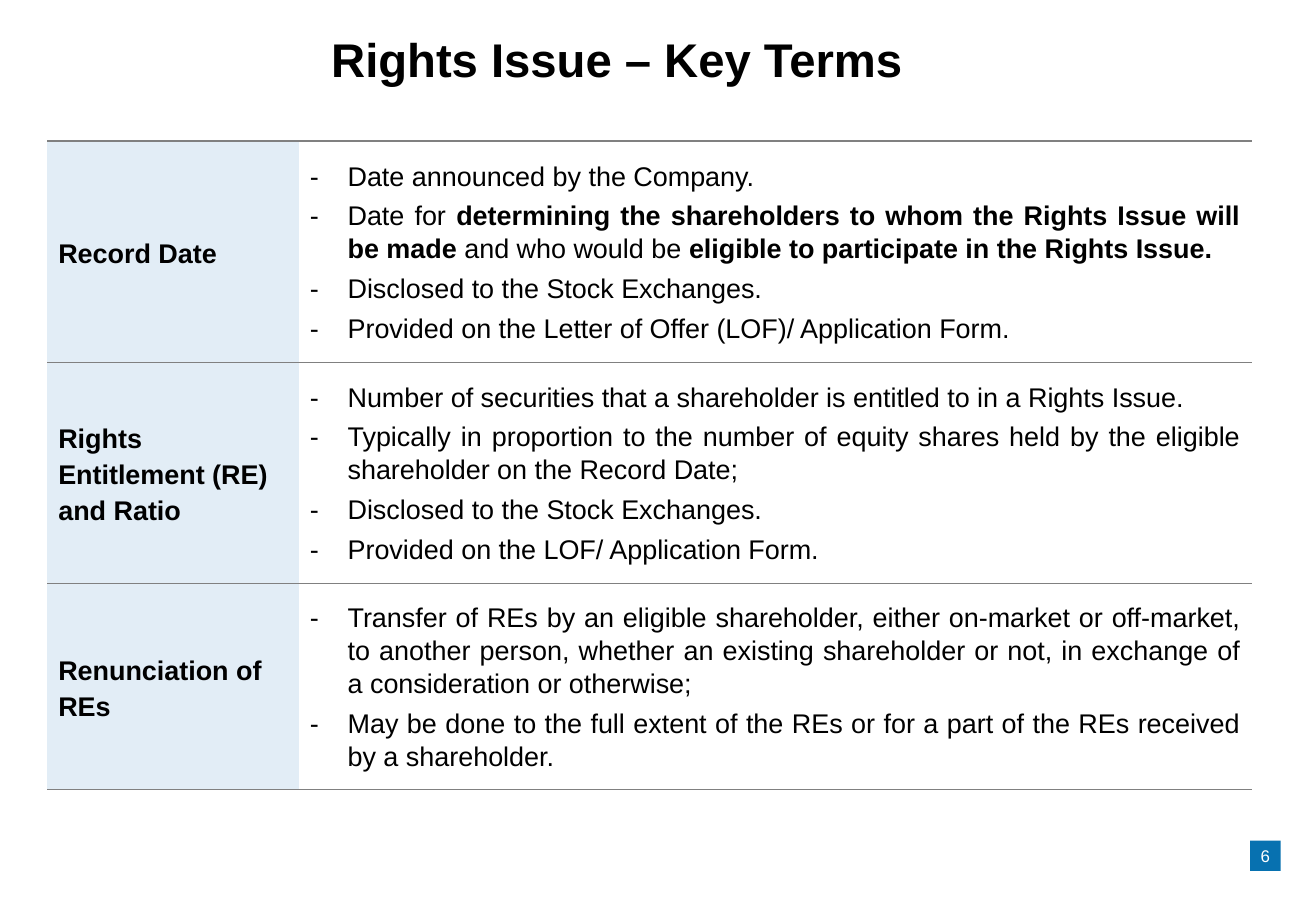
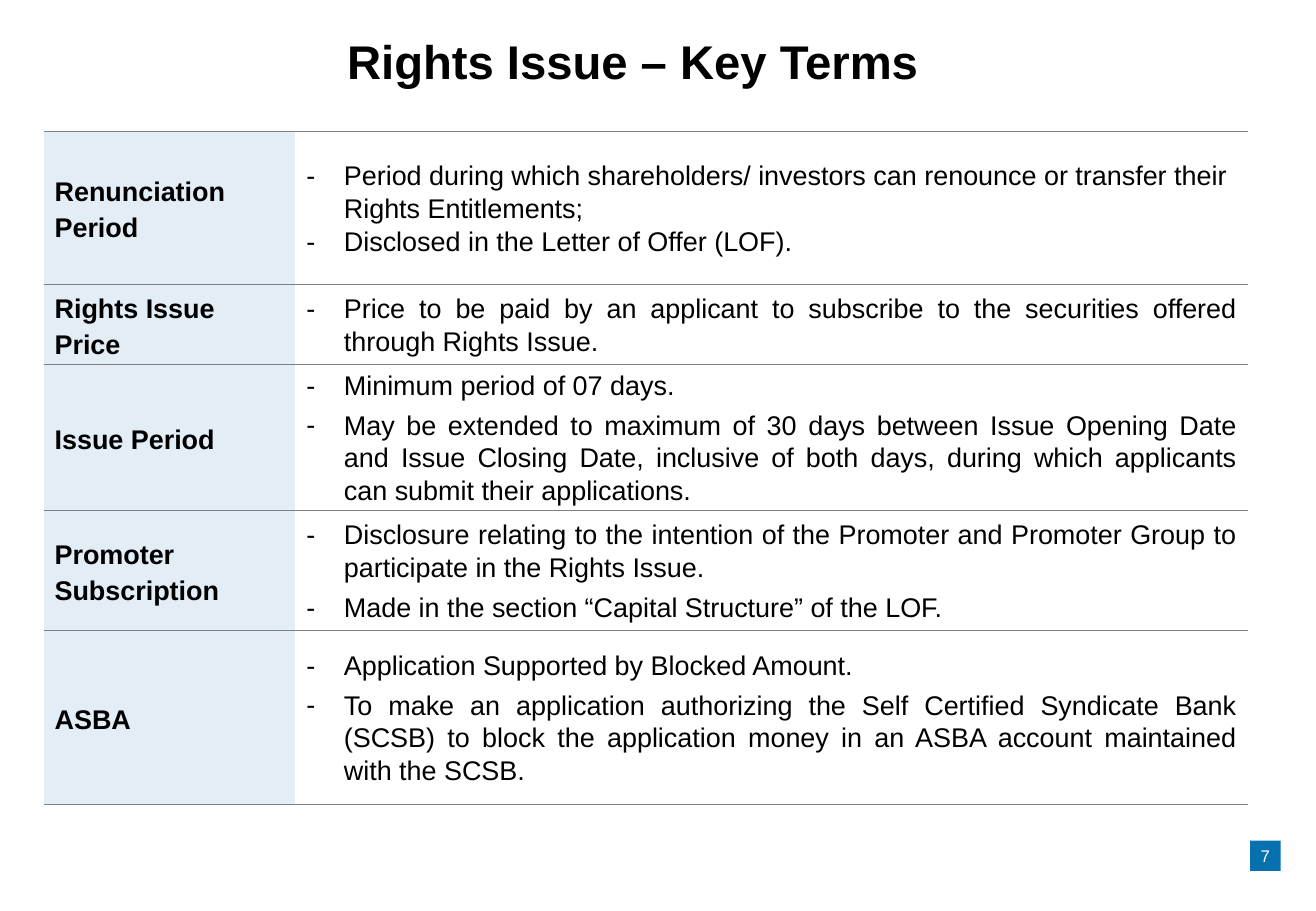
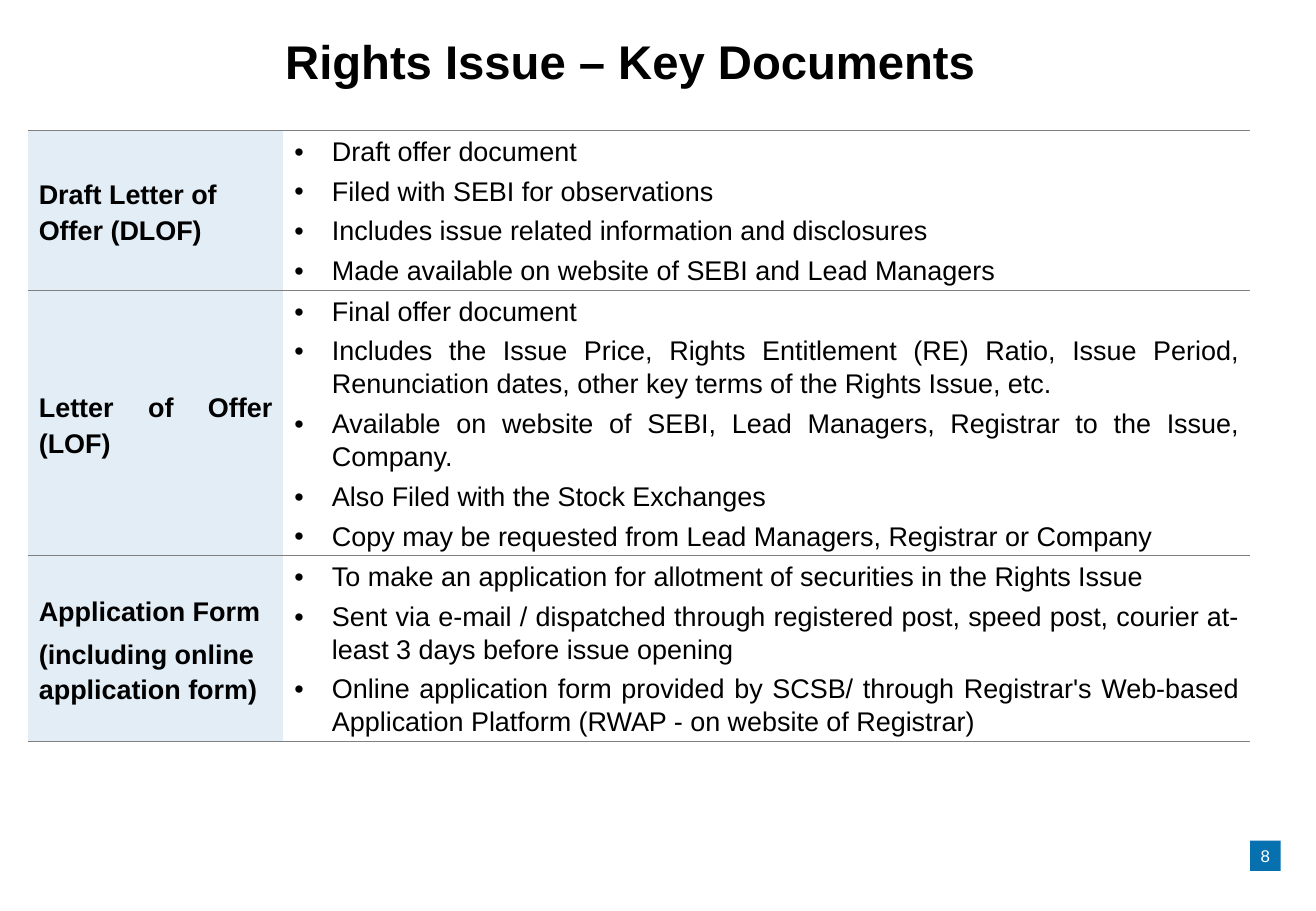
"""Build three slides on the key terms and documents of a rights issue."""
from pptx import Presentation
from pptx import util as u
from pptx.dml.color import RGBColor
from pptx.enum import shapes, text
from pptx.oxml import parse_xml
from pptx.oxml.ns import nsdecls

BLACK = RGBColor(0, 0, 0)
WHITE = RGBColor(255, 255, 255)
PALE = RGBColor(0xE2, 0xED, 0xF6)
BLUE = RGBColor(0x07, 0x71, 0xB0)
RULE = RGBColor(0x80, 0x80, 0x80)
FONT = "Arial"
W, H = 10.83, 7.5
TERM_SHARE = 0.209
HANG = 0.31
FIRST_PAGE = 6
LEFT, JUSTIFY, CENTER = text.PP_ALIGN.LEFT, text.PP_ALIGN.JUSTIFY, text.PP_ALIGN.CENTER
MIDDLE = text.MSO_ANCHOR.MIDDLE

SLIDES = [
    {"title": "Rights Issue – Key Terms", "title_at": (0.51, 0.28),
     "table_at": (0.39, 1.16), "width": 9.91, "bullet": "-", "top_rule": 1.5,
     "rows": [
         {"term": ["Record Date"], "height": 1.82, "points": [
             "Date announced by the Company.",
             "Date for **determining the shareholders to whom the Rights Issue will be made** "
             "and who would be **eligible to participate in the Rights Issue.**",
             "Disclosed to the Stock Exchanges.",
             "Provided on the Letter of Offer (LOF)/ Application Form."]},
         {"term": ["Rights Entitlement (RE) and Ratio"], "height": 1.82, "points": [
             "Number of securities that a shareholder is entitled to in a Rights Issue.",
             "Typically in proportion to the number of equity shares held by the eligible "
             "shareholder on the Record Date;",
             "Disclosed to the Stock Exchanges.",
             "Provided on the LOF/ Application Form."]},
         {"term": ["Renunciation of REs"], "height": 1.7, "points": [
             "Transfer of REs by an eligible shareholder, either on-market or off-market, "
             "to another person, whether an existing shareholder or not, in exchange of "
             "a consideration or otherwise;",
             "May be done to the full extent of the REs or for a part of the REs received "
             "by a shareholder."]},
     ]},
    {"title": "Rights Issue – Key Terms", "title_at": (0.64, 0.29),
     "table_at": (0.36, 1.08), "width": 9.91, "bullet": "-", "top_rule": 0.5,
     "rows": [
         {"term": ["Renunciation Period"], "height": 1.26,
          "points_align": LEFT, "points_gap": 0, "points": [
              "Period during which shareholders/ investors can renounce or transfer their "
              "Rights Entitlements;",
              "Disclosed in the Letter of Offer (LOF)."]},
         {"term": ["Rights Issue Price"], "height": 0.66, "points": [
             "Price to be paid by an applicant to subscribe to the securities offered "
             "through Rights Issue."]},
         {"term": ["Issue Period"], "height": 1.2, "points": [
             "Minimum period of 07 days.",
             "May be extended to maximum of 30 days between Issue Opening Date and Issue "
             "Closing Date, inclusive of both days, during which applicants can submit "
             "their applications."]},
         {"term": ["Promoter Subscription"], "height": 0.99, "points": [
             "Disclosure relating to the intention of the Promoter and Promoter Group to "
             "participate in the Rights Issue.",
             "Made in the section “Capital Structure” of the LOF."]},
         {"term": ["ASBA"], "height": 1.43, "points": [
             "Application Supported by Blocked Amount.",
             "To make an application authorizing the Self Certified Syndicate Bank (SCSB) "
             "to block the application money in an ASBA account maintained with the SCSB."]},
     ]},
    {"title": "Rights Issue – Key Documents", "title_at": (0.62, 0.29),
     "table_at": (0.23, 1.07), "width": 10.06, "bullet": "•", "top_rule": 0.5,
     "rows": [
         {"term": ["Draft Letter of Offer (DLOF)"], "height": 1.32, "points": [
             "Draft offer document",
             "Filed with SEBI for observations",
             "Includes issue related information and disclosures",
             "Made available on website of SEBI and Lead Managers"]},
         {"term": ["Letter of Offer (LOF)"], "height": 2.18, "term_align": JUSTIFY, "points": [
             "Final offer document",
             "Includes the Issue Price, Rights Entitlement (RE) Ratio, Issue Period, "
             "Renunciation dates, other key terms of the Rights Issue, etc.",
             "Available on website of SEBI, Lead Managers, Registrar to the Issue, Company.",
             "Also Filed with the Stock Exchanges",
             "Copy may be requested from Lead Managers, Registrar or Company"]},
         {"term": ["Application Form", "(including online application form)"],
          "height": 1.53, "points": [
              "To make an application for allotment of securities in the Rights Issue",
              "Sent via e-mail / dispatched through registered post, speed post, courier "
              "at-least 3 days before issue opening",
              "Online application form provided by SCSB/ through Registrar's Web-based "
              "Application Platform (RWAP - on website of Registrar)"]},
     ]},
]


def add_run(p, words, size, color=BLACK, bold=False):
    r = p.add_run()
    r.text = words
    r.font.name, r.font.size, r.font.bold = FONT, u.Pt(size), bold
    r.font.color.rgb = color


def clear_margins(tf):
    tf.margin_left = tf.margin_right = tf.margin_top = tf.margin_bottom = 0
    tf.vertical_anchor = MIDDLE


def add_bullet(p, mark):
    pPr = p._p.get_or_add_pPr()
    pPr.set("marL", str(u.Inches(HANG)))
    pPr.set("indent", str(-u.Inches(HANG)))
    pPr.append(parse_xml(f'<a:buFont {nsdecls("a")} typeface="{FONT}"/>'))
    pPr.append(parse_xml(f'<a:buChar {nsdecls("a")} char="{mark}"/>'))


def set_borders(cell, top, bottom):
    tcPr = cell._tc.get_or_add_tcPr()
    for i, (side, width) in enumerate((("L", 0), ("R", 0), ("T", top), ("B", bottom))):
        paint = f'<a:solidFill><a:srgbClr val="{RULE}"/></a:solidFill>' if width else "<a:noFill/>"
        tcPr.insert(i, parse_xml(
            f'<a:ln{side} {nsdecls("a")} w="{u.Pt(width)}">{paint}</a:ln{side}>'))


def fill_cell(cell, lines, align, spacing, gap, bold=False, bullet=None):
    cell.vertical_anchor = MIDDLE
    cell.margin_left = cell.margin_right = u.Inches(0.09)
    cell.margin_top = cell.margin_bottom = u.Inches(0.03)
    tf = cell.text_frame
    for i, line in enumerate(lines):
        p = tf.add_paragraph() if i else tf.paragraphs[0]
        p.alignment, p.line_spacing = align, spacing
        p.space_before = p.space_after = u.Pt(gap)
        if bullet:
            add_bullet(p, bullet)
        for j, part in enumerate(line.split("**")):
            if part:
                add_run(p, part, 16, bold=bold or j % 2 == 1)


def add_title(s, words, at):
    sp = s.shapes.title
    sp.left, sp.top = map(u.Inches, at)
    sp.width, sp.height = u.Inches(9.13), u.Inches(0.47)
    clear_margins(sp.text_frame)
    p = sp.text_frame.paragraphs[0]
    p.alignment, p.line_spacing = CENTER, 0.9
    add_run(p, words, 28, bold=True)


def add_terms(s, spec_):
    rows, width = spec_["rows"], spec_["width"]
    total = sum(row["height"] for row in rows)
    x, y = spec_["table_at"]
    tbl = s.shapes.add_table(len(rows), 2, *map(u.Inches, (x, y, width, total))).table
    tbl.first_row = tbl.horz_banding = False
    for col, share in zip(tbl.columns, (TERM_SHARE, 1 - TERM_SHARE)):
        col.width = u.Inches(width * share)
    for i, row in enumerate(rows):
        tbl.rows[i].height = u.Inches(row["height"])
        term, points = tbl.cell(i, 0), tbl.cell(i, 1)
        fill_cell(term, row["term"], row.get("term_align", LEFT), 1.2, 2, bold=True)
        fill_cell(points, row["points"], row.get("points_align", JUSTIFY), 1.1,
                  row.get("points_gap", 2), bullet=spec_["bullet"])
        term.fill.solid()
        term.fill.fore_color.rgb = PALE
        points.fill.background()
        for cell in (term, points):
            set_borders(cell, 0.5 if i else spec_["top_rule"], 0.5)


def add_page_number(s, number):
    sp = s.shapes.add_shape(shapes.MSO_SHAPE.RECTANGLE,
                            *map(u.Inches, (W * 0.95, 6.92, 0.25, 0.25)))
    sp.shadow.inherit = False
    sp.fill.solid()
    sp.fill.fore_color.rgb = BLUE
    sp.line.fill.background()
    clear_margins(sp.text_frame)
    p = sp.text_frame.paragraphs[0]
    p.alignment = CENTER
    add_run(p, str(number), 10, WHITE)


def main():
    prs = Presentation()
    prs.slide_width, prs.slide_height = u.Inches(W), u.Inches(H)
    for number, content in enumerate(SLIDES, FIRST_PAGE):
        s = prs.slides.add_slide(prs.slide_layouts[5])
        add_title(s, content["title"], content["title_at"])
        add_terms(s, content)
        add_page_number(s, number)
    prs.save("out.pptx")


if __name__ == "__main__":
    main()
